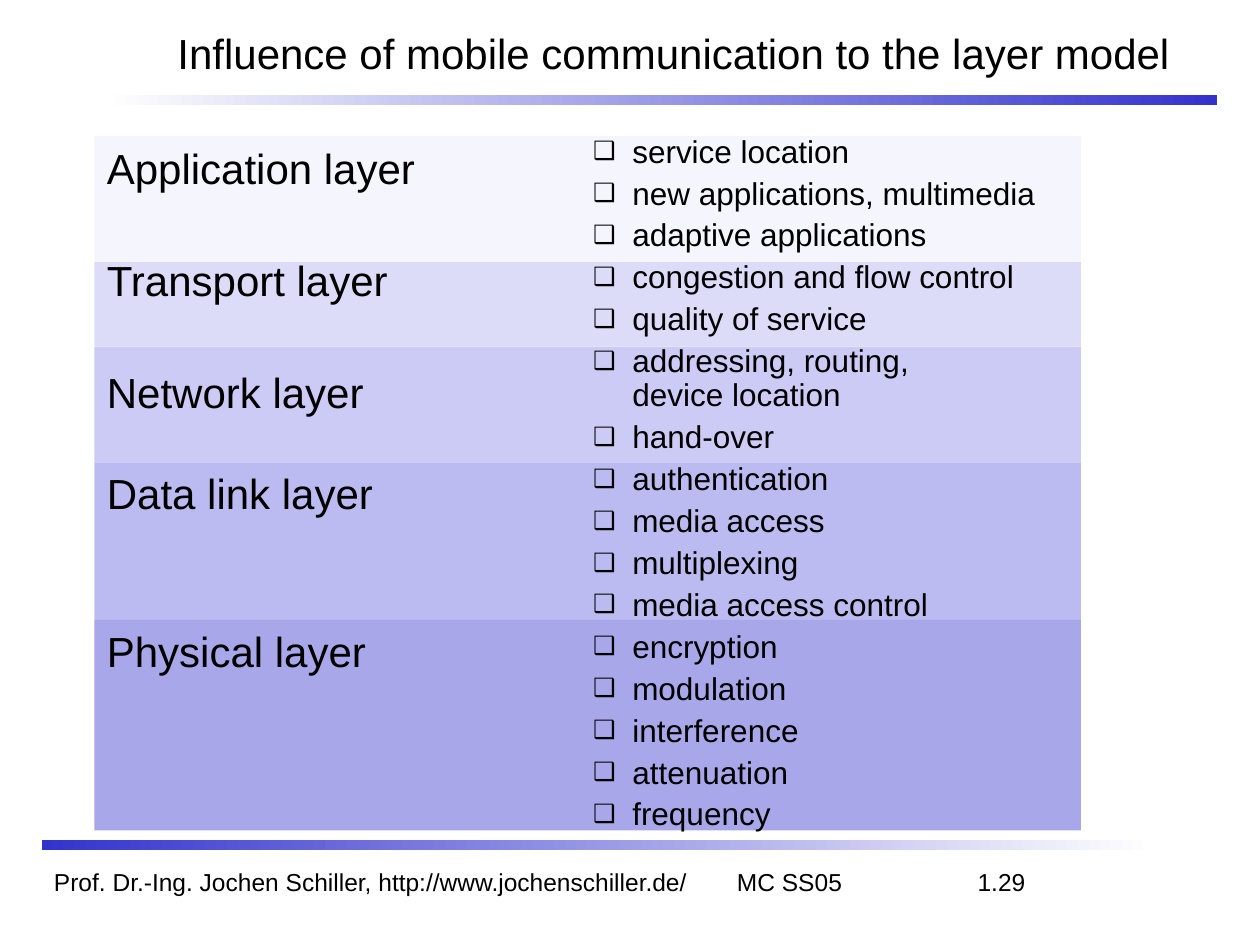
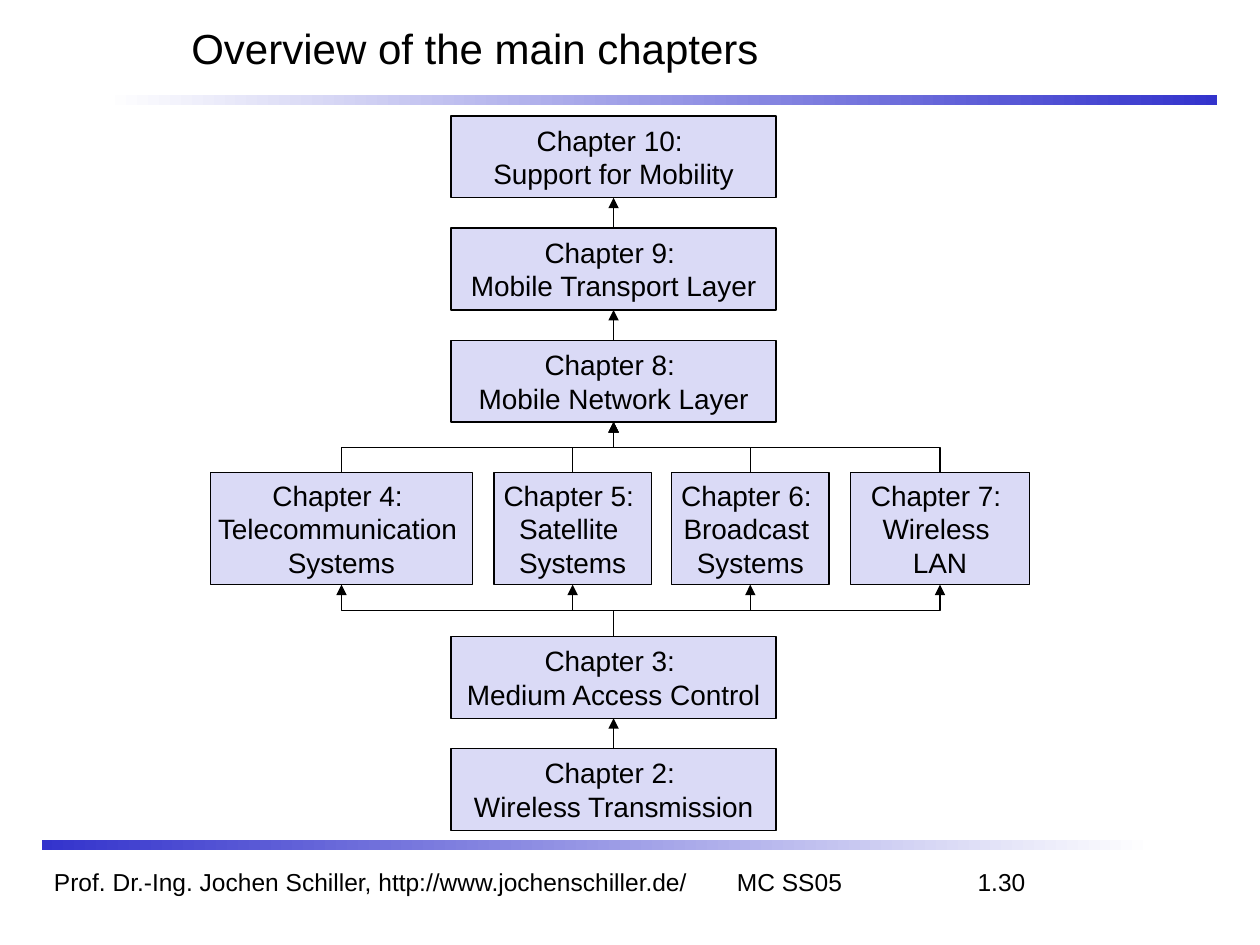
from lxml.etree import SubElement
from pptx import Presentation
from pptx.dml.color import RGBColor
from pptx.enum.shapes import MSO_CONNECTOR, MSO_SHAPE
from pptx.enum.text import MSO_ANCHOR, PP_ALIGN
from pptx.oxml.ns import qn
from pptx.util import Inches, Pt

BLACK = RGBColor(0, 0, 0)
WHITE = RGBColor(255, 255, 255)
BLUE = RGBColor(0x33, 0x33, 0xCC)
CHAPTER_FILL = RGBColor(0xDA, 0xDA, 0xF6)
FONT = "Arial"
TOP, BOTTOM = 0, 2

FOOTER = "Prof. Dr.-Ing. Jochen Schiller, http://www.jochenschiller.de/\tMC SS05\t"
FOOTER_TABS = [(5.42, "l"), (7.71, "r")]

# name, band height, space above the name in points, band colour, topics
LAYERS = [
    ("Application layer", 1.0, 2, RGBColor(0xF5, 0xF5, 0xFD),
     ["service location", "new applications, multimedia", "adaptive applications"]),
    ("Transport layer", 0.67, 35.3, RGBColor(0xDC, 0xDC, 0xF8),
     ["congestion and flow control", "quality of service"]),
    ("Network layer", 0.92, 35.3, RGBColor(0xCB, 0xCB, 0xF5),
     ["addressing, routing, \ndevice location", "hand-over"]),
    ("Data link layer", 1.25, 29, RGBColor(0xBB, 0xBB, 0xF1),
     ["authentication", "media access", "multiplexing", "media access control"]),
    ("Physical layer", 1.67, 61.6, RGBColor(0xA7, 0xA7, 0xE9),
     ["encryption", "modulation", "interference", "attenuation", "frequency"]),
]
BANDS_LEFT, BANDS_TOP, BANDS_WIDTH = 0.75, 1.08, 7.83

# Stacks are listed from bottom to top
LOWER_STACK = [
    ["Chapter 2: ", "Wireless Transmission"],
    ["Chapter 3: ", "Medium Access Control"],
]
ACCESS_ROW = [  # left, width, lines
    (1.67, 2.08, ["Chapter 4: ", "Telecommunication ", "Systems"]),
    (3.92, 1.25, ["Chapter 5: ", "Satellite ", "Systems"]),
    (5.33, 1.25, ["Chapter 6: ", "Broadcast ", "Systems"]),
    (6.75, 1.42, ["Chapter 7: ", "Wireless ", "LAN"]),
]
UPPER_STACK = [
    ["Chapter 8: ", "Mobile Network Layer"],
    ["Chapter 9: ", "Mobile Transport Layer"],
    ["Chapter 10: ", "Support for Mobility"],
]
STACK_LEFT, STACK_WIDTH, STACK_HEIGHT, STACK_PITCH = 3.58, 2.58, 0.65, 0.89
LOWER_TOP, UPPER_TOP = 5.94, 2.7
ROW_TOP, ROW_HEIGHT = 3.75, 0.89


def add_line(frame, text, size, first=False):
    """Add one paragraph; a newline in the text becomes a line break."""
    para = frame.paragraphs[0] if first else frame.add_paragraph()
    for number, part in enumerate(text.split("\n")):
        if number:
            para.add_line_break()
        span = para.add_run()
        span.text = part
        span.font.name = FONT
        span.font.size = Pt(size)
        span.font.color.rgb = BLACK
    return para


def add_text_box(page, left, top, width, height):
    box = page.shapes.add_textbox(*map(Inches, (left, top, width, height)))
    box.text_frame.word_wrap = True
    return box.text_frame


def add_rectangle(page, left, top, width, height, color=None):
    box = page.shapes.add_shape(
        MSO_SHAPE.RECTANGLE, *map(Inches, (left, top, width, height)))
    box.shadow.inherit = False
    box.line.fill.background()
    if color is not None:
        box.fill.solid()
        box.fill.fore_color.rgb = color
    return box


def add_gradient_bar(page, left, top, start, end):
    fill = add_rectangle(page, left, top, 8.83, 0.08).fill
    fill.gradient()
    fill.gradient_angle = 0
    for stop, color, position in zip(fill.gradient_stops, (start, end), (0, 1)):
        stop.color.rgb = color
        stop.position = position


def add_page(deck, number, title, title_area):
    """Add a page with the shared bars, footer and title."""
    page = deck.slides.add_slide(deck.slide_layouts[6])
    add_gradient_bar(page, 0.83, 0.75, WHITE, BLUE)
    add_gradient_bar(page, 0.33, 6.67, BLUE, WHITE)
    para = add_line(add_text_box(page, 0.33, 6.83, 8.75, 0.33),
                    FOOTER + number, 14, True)
    tabs = SubElement(para._p.get_or_add_pPr(), qn("a:tabLst"))
    for position, side in FOOTER_TABS:
        SubElement(tabs, qn("a:tab"), pos=str(Inches(position)), algn=side)
    frame = add_text_box(page, *title_area)
    frame.vertical_anchor = MSO_ANCHOR.MIDDLE
    add_line(frame, title, 24, True)
    return page


def add_bullet(para):
    properties = para._p.get_or_add_pPr()
    properties.set("marL", str(Inches(0.81)))
    properties.set("indent", str(Inches(-0.31)))
    color = SubElement(properties, qn("a:buClr"))
    SubElement(color, qn("a:srgbClr"), val=str(BLACK))
    SubElement(properties, qn("a:buSzPct"), val="80000")
    SubElement(properties, qn("a:buFont"), typeface=FONT)
    SubElement(properties, qn("a:buChar"), char="❑")


def add_layers(page):
    top = BANDS_TOP
    for _, height, _, color, _ in LAYERS:
        add_rectangle(page, BANDS_LEFT, top, BANDS_WIDTH, height, color)
        top += height
    topics = add_text_box(page, 4.11, 1.03, 5.58, 5.67)
    names = add_text_box(page, BANDS_LEFT, BANDS_TOP, 4.17, 5.58)
    for row, (name, _, space, _, items) in enumerate(LAYERS):
        add_line(names, name, 24, row == 0).space_before = Pt(space)
        for number, item in enumerate(items):
            first = row == number == 0
            para = add_line(topics, item, 18, first)
            para.line_spacing = 0.9
            para.space_before = Pt(1.5 if first else 4.5)
            add_bullet(para)


def add_chapter(page, left, top, width, height, lines):
    box = add_rectangle(page, left, top, width, height, CHAPTER_FILL)
    box.line.color.rgb = BLACK
    box.line.width = Pt(0.75)
    frame = box.text_frame
    frame.word_wrap = False
    frame.vertical_anchor = MSO_ANCHOR.MIDDLE
    for number, text in enumerate(lines):
        add_line(frame, text, 16, number == 0).alignment = PP_ALIGN.CENTER
    return box


def add_stack(page, lowest_top, chapters):
    boxes = [add_chapter(page, STACK_LEFT, lowest_top - level * STACK_PITCH,
                         STACK_WIDTH, STACK_HEIGHT, lines)
             for level, lines in enumerate(chapters)]
    for lower, upper in zip(boxes, boxes[1:]):
        add_arrow(page, lower, upper, MSO_CONNECTOR.STRAIGHT)
    return boxes


def add_arrow(page, lower, upper, kind=MSO_CONNECTOR.ELBOW):
    """Join the top of the lower box to the bottom of the upper one."""
    arrow = page.shapes.add_connector(kind, 0, 0, 0, 0)
    arrow.begin_connect(lower, TOP)
    arrow.end_connect(upper, BOTTOM)
    if kind == MSO_CONNECTOR.ELBOW:
        # A quarter turn makes the elbow leave and arrive vertically
        middle_x = (arrow.begin_x + arrow.end_x) // 2
        middle_y = (arrow.begin_y + arrow.end_y) // 2
        half_x = arrow.begin_x - middle_x
        half_y = arrow.begin_y - middle_y
        arrow.begin_x, arrow.begin_y = middle_x - half_y, middle_y + half_x
        arrow.end_x, arrow.end_y = middle_x + half_y, middle_y - half_x
        arrow._element.spPr.find(qn("a:xfrm")).set("rot", str(270 * 60000))
    arrow.line.color.rgb = BLACK
    arrow.line.width = Pt(0.75)
    SubElement(arrow.line._get_or_add_ln(), qn("a:tailEnd"), type="triangle")
    SubElement(arrow._element.spPr, qn("a:effectLst"))


def add_chapters(page):
    lower = add_stack(page, LOWER_TOP, LOWER_STACK)
    upper = add_stack(page, UPPER_TOP, UPPER_STACK)
    for left, width, lines in ACCESS_ROW:
        box = add_chapter(page, left, ROW_TOP, width, ROW_HEIGHT, lines)
        add_arrow(page, lower[-1], box)
        add_arrow(page, box, upper[0])


def main():
    deck = Presentation()
    deck.slide_width, deck.slide_height = Inches(10), Inches(7.5)
    add_layers(add_page(deck, "1.29",
                        "Influence of mobile communication to the layer model",
                        (1.31, 0.08, 8.58, 0.67)))
    add_chapters(add_page(deck, "1.30", "Overview of the main chapters",
                          (1.42, 0, 8.42, 0.75)))
    deck.save("out.pptx")


if __name__ == "__main__":
    main()
